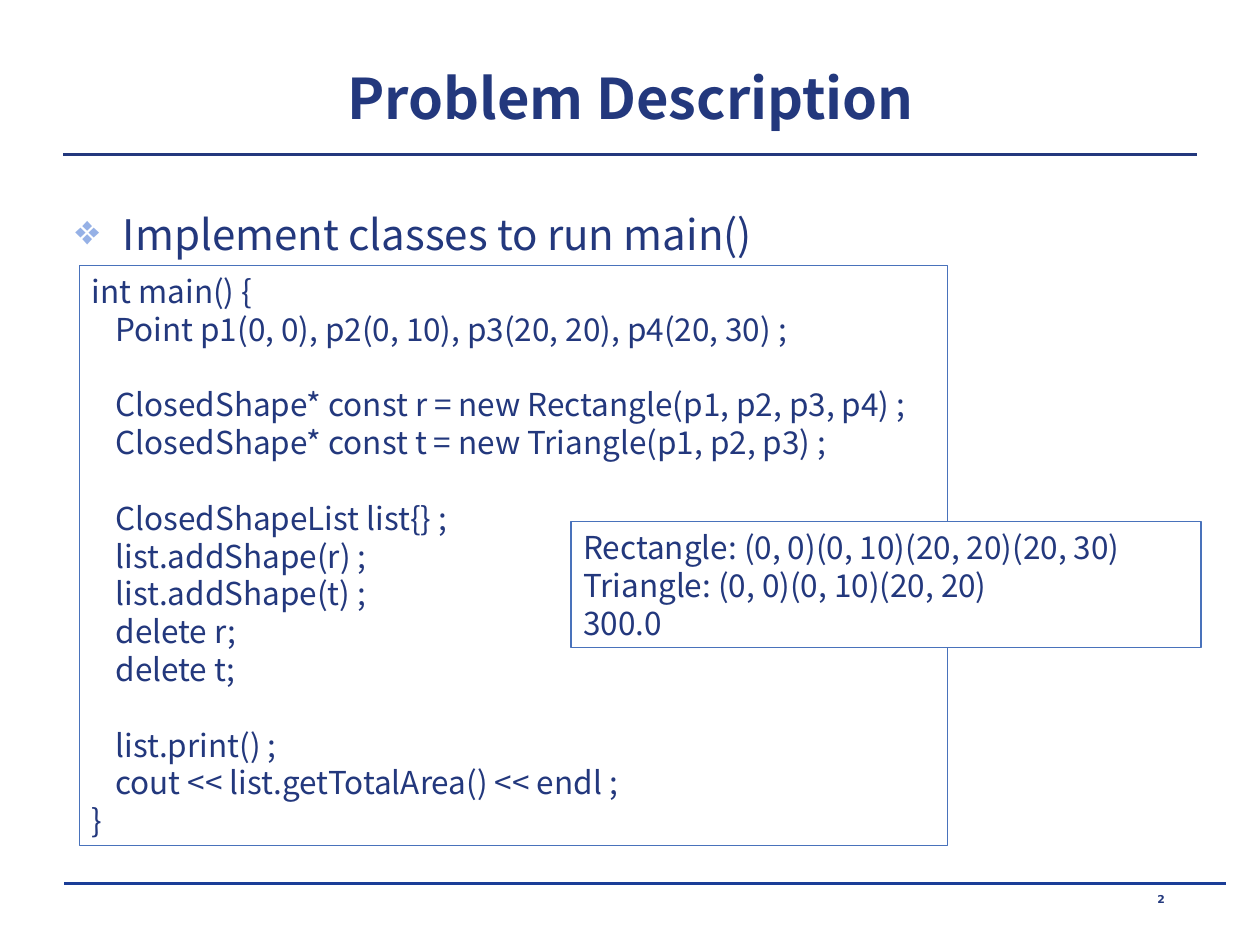
from dataclasses import dataclass

from lxml.etree import SubElement as Sub
from pptx import Presentation
from pptx.dml.color import RGBColor as Rgb
from pptx.enum.shapes import MSO_CONNECTOR as Conn, MSO_SHAPE as Kind
from pptx.enum.text import MSO_ANCHOR as Anchor, PP_ALIGN as Align
from pptx.oxml.ns import qn
from pptx.util import Cm, Pt

INK = {"text": "23387D", "rule": "1A3D97", "edge": "4972BB",
       "mark": "96B1E6", "paper": "FFFFFF"}
SANS = "Noto Sans CJK KR"

CODE = """int main() {
\tPoint p1(0, 0), p2(0, 10), p3(20, 20), p4(20, 30) ;

\tClosedShape* const r = new Rectangle(p1, p2, p3, p4) ;
\tClosedShape* const t = new Triangle(p1, p2, p3) ;

\tClosedShapeList list{} ;
\tlist.addShape(r) ;
\tlist.addShape(t) ;
\tdelete r;
\tdelete t;

\tlist.print() ;
\tcout << list.getTotalArea() << endl ;
}"""
OUTPUT = """Rectangle: (0, 0)(0, 10)(20, 20)(20, 30)
Triangle: (0, 0)(0, 10)(20, 20)
300.0"""


@dataclass
class Rule:
    left: float
    right: float
    top: float
    ink: str
    width: float


@dataclass
class Panel:
    left: float
    top: float
    width: float
    height: float
    text: str
    filled: bool


RULES = [Rule(1.3, 24.71, 17.81, "rule", 0),
         Rule(1.27, 24.13, 3.12, "text", 1.75)]
PANELS = [Panel(1.6, 5.36, 17.5, 11.68, CODE, False),
          Panel(11.51, 10.52, 12.7, 2.54, OUTPUT, True)]


def color(name: str) -> Rgb:
    return Rgb.from_string(INK[name])


def style(para, size: float, face: str = SANS, bold: bool = False) -> None:
    font = para.font
    font.name, font.size, font.bold = face, Pt(size), bold
    font.color.rgb = color("text")


def add_rule(slide, rule: Rule) -> None:
    line = slide.shapes.add_connector(
        Conn.STRAIGHT, Cm(rule.left), Cm(rule.top), Cm(rule.right), Cm(rule.top))
    line.line.color.rgb = color(rule.ink)
    line.line.width = Pt(rule.width)
    Sub(line._element.spPr, qn("a:effectLst"))


def add_tab(para, stop: float) -> None:
    tabs = Sub(para._p.get_or_add_pPr(), qn("a:tabLst"))
    Sub(tabs, qn("a:tab"), pos=str(Cm(stop)), algn="l")


def add_mark(para, char: str, indent: float) -> None:
    """Give the paragraph a coloured bullet and a hanging indent."""
    props = para._p.get_or_add_pPr()
    props.set("marL", str(Cm(indent)))
    props.set("indent", str(-Cm(indent)))
    Sub(Sub(props, qn("a:buClr")), qn("a:srgbClr"), val=INK["mark"])
    Sub(props, qn("a:buChar"), char=char)


def add_panel(slide, panel: Panel) -> None:
    box = slide.shapes.add_shape(Kind.RECTANGLE, Cm(panel.left), Cm(panel.top),
                                 Cm(panel.width), Cm(panel.height))
    box.shadow.inherit = False
    if panel.filled:
        box.fill.solid()
        box.fill.fore_color.rgb = color("paper")
    else:
        box.fill.background()
    box.line.color.rgb = color("edge")
    box.line.width = Pt(0.75)
    frame = box.text_frame
    frame.word_wrap = True
    frame.vertical_anchor = Anchor.TOP
    frame.text = panel.text
    for para in frame.paragraphs:
        para.alignment = Align.LEFT
        para.line_spacing = Pt(21.6)
        add_tab(para, 0.48)
        style(para, 18)


def add_text(slide, left: float, top: float, width: float, height: float, text: str):
    """Add a one-paragraph text box and return its paragraph."""
    box = slide.shapes.add_textbox(Cm(left), Cm(top), Cm(width), Cm(height))
    box.text_frame.word_wrap = True
    box.text_frame.text = text
    return box.text_frame.paragraphs[0]


def set_title(slide, text: str) -> None:
    title = slide.shapes.title
    title.left, title.top = Cm(1.3), Cm(0.89)
    title.width, title.height = Cm(22.83), Cm(2.13)
    frame = title.text_frame
    frame.text = text
    frame.vertical_anchor = Anchor.MIDDLE
    para = frame.paragraphs[0]
    para.alignment = Align.CENTER
    style(para, 32, bold=True)


def main() -> None:
    deck = Presentation()
    deck.slide_width, deck.slide_height = Cm(25.4), Cm(19.05)
    slide = deck.slides.add_slide(deck.slide_layouts[5])
    for rule in RULES:
        add_rule(slide, rule)
    set_title(slide, "Problem Description")

    point = add_text(slide, 1.27, 4.01, 22.86, 2.11, "Implement classes to run main()")
    add_mark(point, "❖", 0.96)
    point.line_spacing = Pt(31)
    style(point, 24)

    number = add_text(slide, 20.5, 17.93, 5.82, 0.61, "2")
    number.alignment = Align.CENTER
    number.line_spacing = 0.8
    style(number, 6.2, "DejaVu Sans", bold=True)

    for panel in PANELS:
        add_panel(slide, panel)
    deck.save("out.pptx")


if __name__ == "__main__":
    main()
